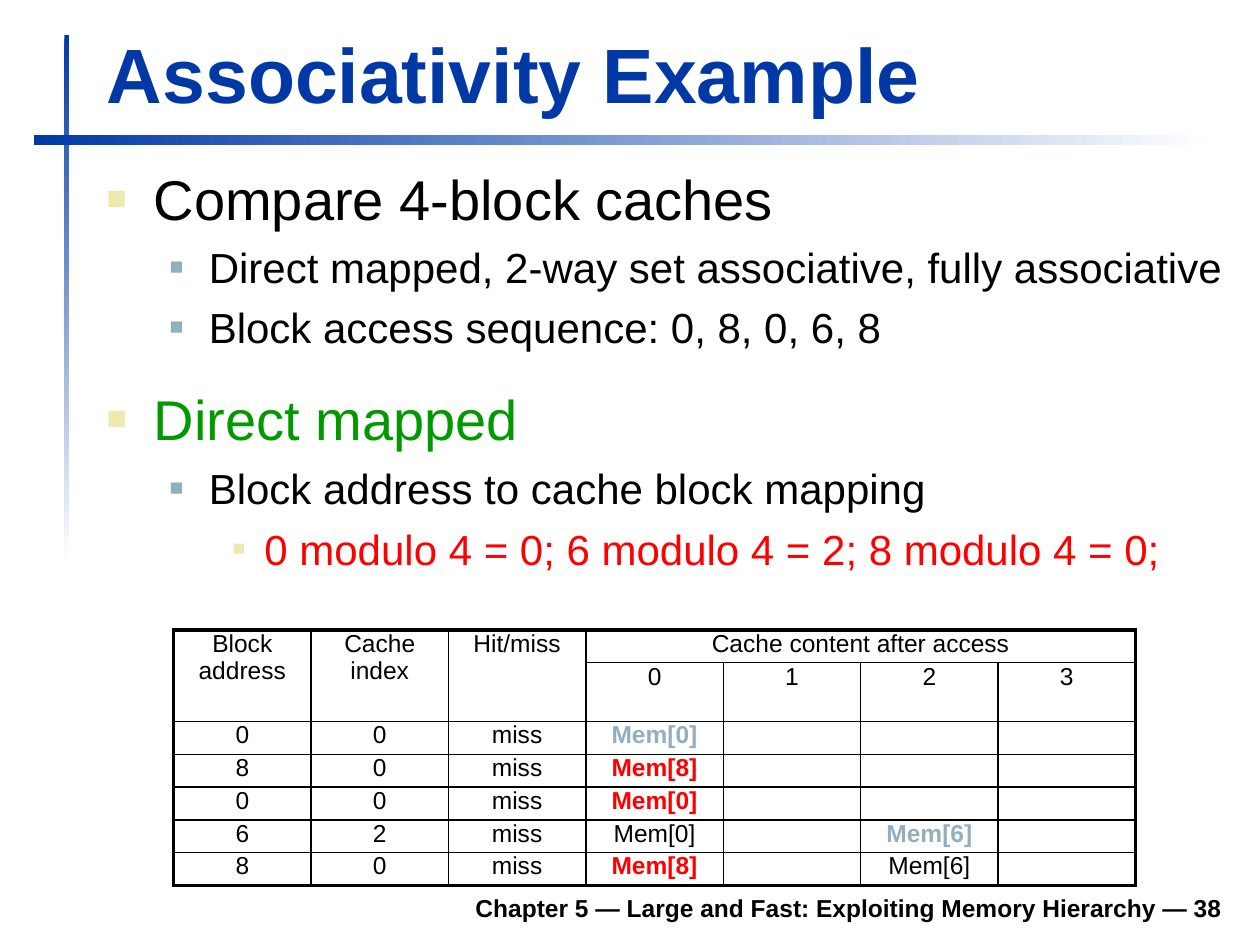
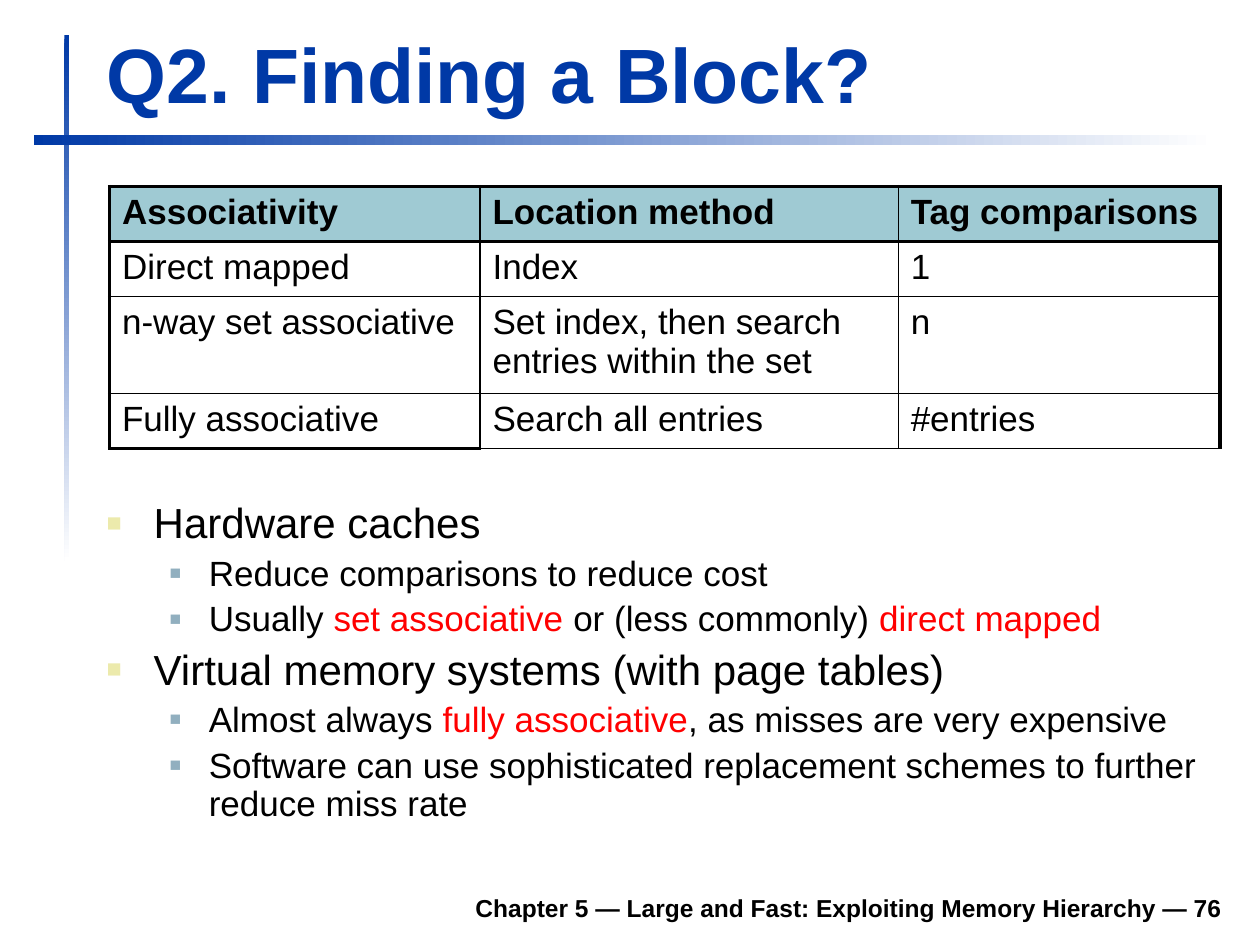
from dataclasses import dataclass

from lxml.etree import SubElement
from pptx import Presentation
from pptx.dml.color import RGBColor
from pptx.enum.shapes import MSO_SHAPE
from pptx.enum.text import MSO_ANCHOR, MSO_AUTO_SIZE, PP_ALIGN
from pptx.oxml.ns import qn
from pptx.util import Cm, Pt

RECT = MSO_SHAPE.RECTANGLE
BOTTOM = MSO_ANCHOR.BOTTOM
GROW = MSO_AUTO_SIZE.SHAPE_TO_FIT_TEXT
LEFT, MID, RIGHT = PP_ALIGN.LEFT, PP_ALIGN.CENTER, PP_ALIGN.RIGHT


@dataclass(frozen=True)
class Theme:
    font: str = "Arial"
    blue: str = "0039A6"
    white: str = "FFFFFF"
    black: str = "000000"
    red: str = "FF0000"
    green: str = "009900"
    steel: str = "91AFBF"
    sand: str = "ECEAAC"
    teal: str = "9FCAD3"
    title: int = 44
    large: int = 32
    main: int = 24
    sub: int = 20
    small: int = 14
    thin: float = 1
    rule: float = 1.5
    thick: float = 2.25


THEME = Theme()
CHAPTER = "Chapter 5 — Large and Fast: Exploiting Memory Hierarchy"
LEVELS = [
    (0.95, 0.95, 60, THEME.sand),
    (2.06, 0.79, 55, THEME.steel),
    (3.18, 0.64, 50, THEME.sand),
]


def write(para, text, size, color=THEME.black, bold=False, align=LEFT, gap=0, lines=None):
    para.alignment = align
    para.space_before = Pt(gap)
    if lines:
        para.line_spacing = lines
    if not text:
        SubElement(para._p, qn("a:endParaRPr"), sz=str(size * 100))
        return
    for index, part in enumerate(text.split("|")):
        run = para.add_run()
        run.text = part
        font = run.font
        font.name, font.size, font.bold = THEME.font, Pt(size), bold
        font.color.rgb = RGBColor.from_string(THEME.red if index % 2 else color)


def mark(para, level):
    left, hang, scale, color = LEVELS[level]
    para.level = level
    props = para._p.get_or_add_pPr()
    props.set("marL", str(Cm(left)))
    props.set("indent", str(-Cm(hang)))
    tint = SubElement(props, qn("a:buClr"))
    SubElement(tint, qn("a:srgbClr"), val=color)
    SubElement(props, qn("a:buSzPct"), val=str(scale * 1000))
    SubElement(props, qn("a:buFont"), typeface=THEME.font)
    SubElement(props, qn("a:buChar"), char="■")


def edge(cell, side, width):
    line = SubElement(cell._tc.get_or_add_tcPr(), qn(f"a:ln{side}"), w=str(Pt(width)))
    fill = SubElement(line, qn("a:solidFill"))
    SubElement(fill, qn("a:srgbClr"), val=THEME.black)


class Deck:
    def __init__(self, theme):
        self.theme = theme
        self.show = Presentation()
        self.show.slide_width, self.show.slide_height = Cm(25.4), Cm(19.05)
        self.slide = None

    def page(self, title, number):
        self.slide = self.show.slides.add_slide(self.show.slide_layouts[5])
        self.band((1.3, 0.71, 0.1, 10.6), 270)
        self.band((0.69, 2.72, 23.8, 0.2), 0)
        head = self.slide.shapes.title
        head.left, head.top, head.width, head.height = map(Cm, (1.9, 0.41, 22.94, 2.11))
        frame = head.text_frame
        frame.vertical_anchor, frame.auto_size = BOTTOM, GROW
        write(frame.paragraphs[0], title, self.theme.title, color=self.theme.blue, bold=True)
        foot = self.frame((4.7, 17.73, 20.19, 0.99))
        foot.vertical_anchor = BOTTOM
        write(foot.paragraphs[0], f"{CHAPTER} — {number}", self.theme.small,
              bold=True, align=RIGHT)

    def band(self, box, angle):
        shape = self.slide.shapes.add_shape(RECT, *map(Cm, box))
        shape.shadow.inherit = False
        shape.line.fill.background()
        shape.fill.gradient()
        shape.fill.gradient_angle = angle
        for stop, color in zip(shape.fill.gradient_stops, (self.theme.blue, self.theme.white)):
            stop.color.rgb = RGBColor.from_string(color)

    def frame(self, box):
        frame = self.slide.shapes.add_textbox(*map(Cm, box)).text_frame
        frame.word_wrap = True
        return frame

    def points(self, box, items, sizes, lines=None):
        frame = self.frame(box)
        frame.margin_top = Cm(0.2)
        for index, (level, text, *more) in enumerate(items):
            para = frame.add_paragraph() if index else frame.paragraphs[0]
            share, color = more or (0.2, self.theme.black)
            size = sizes[level]
            mark(para, level)
            write(para, text, size, color=color, lines=lines,
                  gap=round(share * size * 1.15, 1) if index else 0)

    def table(self, spot, widths, heights, rows, size, pad, spans=(), align=LEFT,
              head=None, split=None, base=None):
        theme = self.theme
        grid = self.slide.shapes.add_table(
            len(rows), len(widths), *map(Cm, (*spot, sum(widths), sum(heights)))).table
        grid.first_row = grid.horz_banding = False
        for col, width in zip(grid.columns, widths):
            col.width = Cm(width)
        for row, height in zip(grid.rows, heights):
            row.height = Cm(height)
        for top, left, bottom, right in spans:
            grid.cell(top, left).merge(grid.cell(bottom, right))
        split = split or theme.thin
        for r, row in enumerate(rows):
            for c, value in enumerate(row):
                cell = grid.cell(r, c)
                text, color, bold = value if isinstance(value, tuple) else (
                    value, theme.black, bool(head and r == 0))
                cell.margin_left = cell.margin_right = Cm(0.25)
                cell.margin_top = cell.margin_bottom = Cm(pad)
                write(cell.text_frame.paragraphs[0], text, size,
                      color=color, bold=bold, align=align)
                end = c + cell.span_width == len(widths)
                low = r + cell.span_height == len(rows) and (base is None or c < base)
                edge(cell, "L", theme.thin if c else theme.thick)
                edge(cell, "R", theme.thick if end else theme.thin)
                edge(cell, "T", theme.thick if r == 0 else split if r == 1 else theme.thin)
                edge(cell, "B", theme.thick if low else split if r == 0 else theme.thin)
                if head and r == 0:
                    cell.fill.solid()
                    cell.fill.fore_color.rgb = RGBColor.from_string(head)
                else:
                    cell.fill.background()


def cache(deck):
    theme = deck.theme
    deck.page("Associativity Example", 38)
    deck.points((1.9, 3.12, 23.5, 7.8), [
        (0, "Compare 4-block caches"),
        (1, "Direct mapped, 2-way set associative, fully associative"),
        (1, "Block access sequence: 0, 8, 0, 6, 8"),
        (0, "Direct mapped", 0.5, theme.green),
        (1, "Block address to cache block mapping", 0.22, theme.black),
        (2, "0 modulo 4 = 0; 6 modulo 4 = 2; 8 modulo 4 = 0;", 0.22, theme.red),
    ], (theme.large, theme.main, theme.main))

    def fresh(block):
        return f"Mem[{block}]", theme.steel, True

    def swap(block):
        return f"Mem[{block}]", theme.red, True

    deck.table((3.5, 12.7), [2.77] * 7, [0.66] * 7, [
        ["Block address", "Cache index", "Hit/miss", "Cache content after access", "", "", ""],
        ["", "", "", "0", "1", "2", "3"],
        ["0", "0", "miss", fresh(0), "", "", ""],
        ["8", "0", "miss", swap(8), "", "", ""],
        ["0", "0", "miss", swap(0), "", "", ""],
        ["6", "2", "miss", "Mem[0]", "", fresh(6), ""],
        ["8", "0", "miss", swap(8), "", "Mem[6]", ""],
    ], theme.small, 0, align=MID,
        spans=[*((0, col, 1, col) for col in range(3)), (0, 3, 0, 6)])


def find(deck):
    theme = deck.theme
    deck.page("Q2. Finding a Block?", 76)
    deck.points((1.9, 9.93, 22.99, 7.39), [
        (0, "Hardware caches"),
        (1, "Reduce comparisons to reduce cost"),
        (1, "Usually |set associative |or (less commonly) |direct mapped"),
        (0, "Virtual memory systems (with page tables)"),
        (1, "Almost always |fully associative|, as misses are very expensive"),
        (1, "Software can use sophisticated replacement schemes to further reduce miss rate"),
    ], (theme.main, theme.sub), lines=0.9)
    deck.table((2.21, 3.76), [7.47, 8.43, 6.48], [1.1, 1.1, 1.95, 1.1], [
        ["Associativity", "Location method", "Tag comparisons"],
        ["Direct mapped", "Index", "1"],
        ["n-way set associative", "Set index, then search entries within the set", "n"],
        ["Fully associative", "Search all entries", "#entries"],
    ], theme.sub, 0.13, head=theme.teal, split=theme.rule, base=1)


def main():
    deck = Deck(THEME)
    cache(deck)
    find(deck)
    deck.show.save("out.pptx")


if __name__ == "__main__":
    main()
